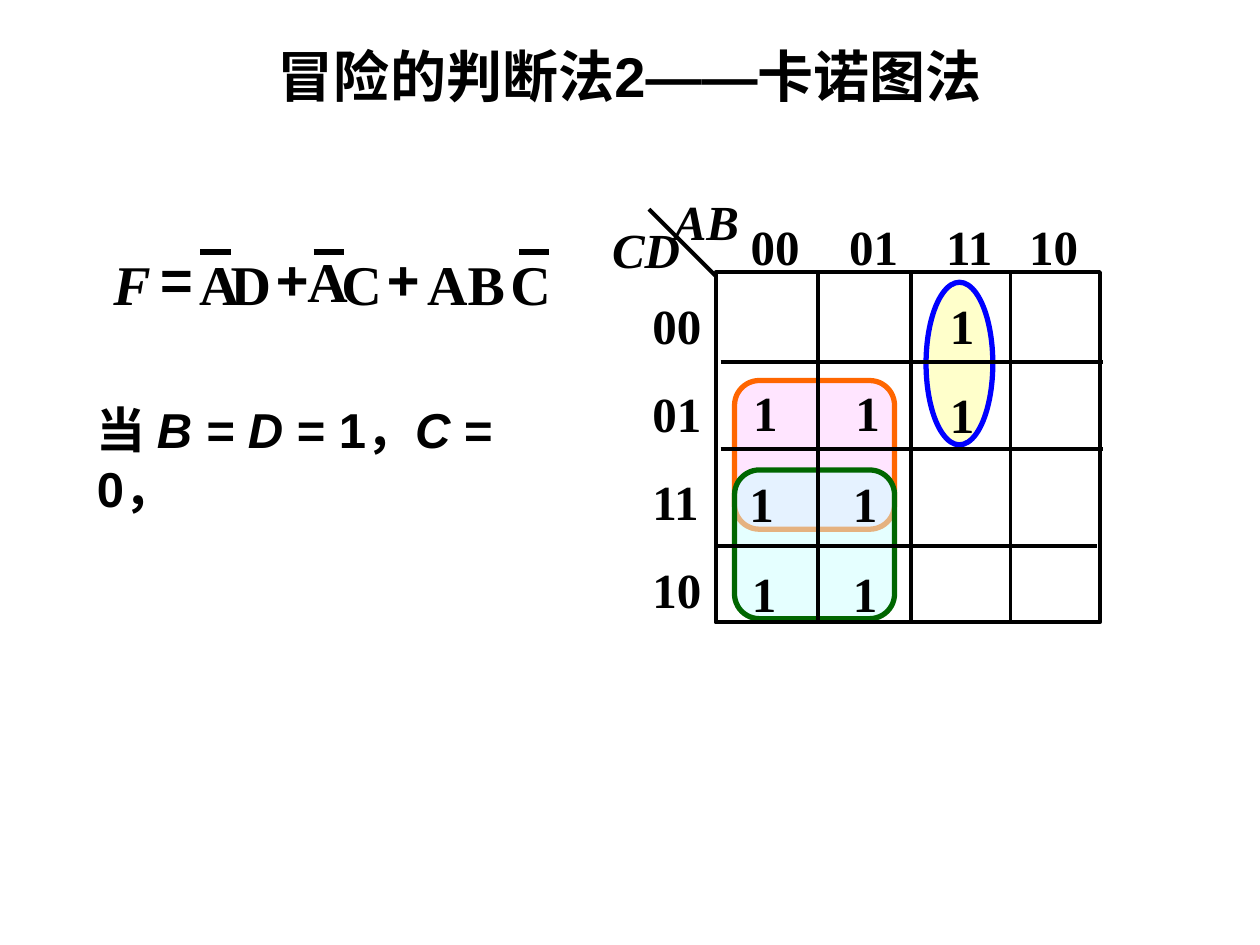
"""Build the slide on judging hazards with a Karnaugh map."""
from dataclasses import dataclass

from lxml import etree
from pptx import Presentation
from pptx import util as u
from pptx.dml.color import RGBColor
from pptx.enum import shapes, text
from pptx.oxml.ns import qn


@dataclass(frozen=True)
class Theme:
    """Colours, fonts and sizes of the slide."""
    ink: str = "000000"
    pink: str = "FFCCFF"
    orange: str = "FF6600"
    cyan: str = "CCFFFF"
    green: str = "006600"
    yellow: str = "FFFF99"
    blue: str = "0000FF"
    sans: str = "Arial"
    serif: str = "Times New Roman"
    chinese: str = "Noto Sans CJK SC"
    body: float = 28
    large: float = 32
    thin: float = 2.25
    thick: float = 3


THEME = Theme()


def add_span(para, words, *, size=THEME.body, font=THEME.serif, italic=False):
    """Append formatted bold text to a paragraph."""
    span = para.add_run()
    span.text = words
    span.font.size = u.Pt(size)
    span.font.name = font
    span.font.bold = True
    span.font.italic = italic
    span.font.color.rgb = RGBColor.from_string(THEME.ink)
    latin = span.font._element.find(qn("a:latin"))
    latin.addnext(latin.makeelement(qn("a:ea"), {"typeface": THEME.chinese}))


class Slide:
    """Hold the theme and the current slide."""

    def __init__(self, page, theme):
        self.page = page
        self.theme = theme

    def title(self, words, left, top, width, height):
        box = self.page.shapes.title
        box.left, box.top = u.Inches(left), u.Inches(top)
        box.width, box.height = u.Inches(width), u.Inches(height)
        frame = box.text_frame
        frame.word_wrap = True
        frame.auto_size = text.MSO_AUTO_SIZE.SHAPE_TO_FIT_TEXT
        frame.vertical_anchor = text.MSO_ANCHOR.TOP
        para = frame.paragraphs[0]
        para.alignment = text.PP_ALIGN.CENTER
        add_span(para, words, size=self.theme.large, font=self.theme.sans)

    def text_box(self, left, top, width, height, wrap=False, inset=True):
        box = self.page.shapes.add_textbox(
            u.Inches(left), u.Inches(top), u.Inches(width), u.Inches(height))
        frame = box.text_frame
        frame.word_wrap = wrap
        frame.auto_size = text.MSO_AUTO_SIZE.SHAPE_TO_FIT_TEXT
        if not inset:
            frame.margin_left = frame.margin_right = 0
            frame.margin_top = frame.margin_bottom = 0
        return frame

    def label(self, words, left, top, width=0.4, height=0.57, inset=True,
              spacing=None, **style):
        wrap = spacing is not None
        frame = self.text_box(left, top, width, height, wrap, inset)
        for index, line in enumerate(words.split("\n")):
            para = frame.add_paragraph() if index else frame.paragraphs[0]
            para.line_spacing = spacing
            add_span(para, line, **style)

    def statement(self, spans, left, top, width, height):
        para = self.text_box(left, top, width, height, wrap=True).paragraphs[0]
        for words, italic in spans:
            add_span(para, words, font=self.theme.sans, italic=italic)

    def outline(self, kind, left, top, width, height, line, weight, fill=None):
        shape = self.page.shapes.add_shape(
            kind, u.Inches(left), u.Inches(top), u.Inches(width), u.Inches(height))
        shape.shadow.inherit = False
        shape.line.color.rgb = RGBColor.from_string(line)
        shape.line.width = u.Pt(weight)
        if fill is None:
            shape.fill.background()
            return
        shape.fill.solid()
        shape.fill.fore_color.rgb = RGBColor.from_string(fill)
        colour = shape._element.spPr.find(qn("a:solidFill"))[0]
        etree.SubElement(colour, qn("a:alpha"), val="50000")

    def line(self, x1, y1, x2, y2, weight):
        line = self.page.shapes.add_connector(
            shapes.MSO_CONNECTOR.STRAIGHT,
            u.Inches(x1), u.Inches(y1), u.Inches(x2), u.Inches(y2))
        line.line.color.rgb = RGBColor.from_string(self.theme.ink)
        line.line.width = u.Pt(weight)
        etree.SubElement(line._element.spPr, qn("a:effectLst"))


def draw_map(slide):
    """Draw the Karnaugh map with its groups, headings and ones."""
    theme = slide.theme
    kinds = shapes.MSO_SHAPE
    for top, line, fill in ((3.02, theme.orange, theme.pink),
                            (3.73, theme.green, theme.cyan)):
        slide.outline(kinds.ROUNDED_RECTANGLE, 5.83, top, 1.27, 1.18,
                      line, theme.thick, fill)
    slide.outline(kinds.OVAL, 7.35, 2.24, 0.53, 1.29,
                  theme.blue, theme.thick, theme.yellow)

    slide.outline(kinds.RECTANGLE, 5.68, 2.16, 3.05, 2.78, theme.ink, theme.thin)
    for x in (6.49, 7.23, 8.02):
        slide.line(x, 2.16, x, 4.95, theme.thin)
    for y, left in ((2.87, 5.72), (3.56, 5.72), (4.33, 5.68)):
        slide.line(left, y, left + 3.03, y, theme.thin)
    slide.line(5.15, 1.66, 5.68, 2.19, theme.thin)

    slide.label("AB", 5.25, 1.47, 0.72, italic=True)
    slide.label("CD", 4.76, 1.69, 0.74, italic=True)
    codes = ("00", "01", "11", "10")
    for code, left in zip(codes, (5.86, 6.64, 7.41, 8.07)):
        slide.label(code, left, 1.67, 0.59)
    slide.label("\n".join(codes), 5.08, 2.06, 0.63, 2.91, spacing=1.5)

    for top, lefts in ((2.99, (5.88, 6.69)), (3.71, (5.85, 6.67)),
                       (4.42, (5.87, 6.67))):
        for left in lefts:
            slide.label("1", left, top)
    for top in (2.2, 2.91):
        slide.label("1", 7.44, top, 0.41, 0.66, spacing=1.2)


def draw_formula(slide):
    """Set the letters, operators and negation bars of the formula."""
    theme = slide.theme
    for left in (1.59, 2.49, 4.12):
        slide.line(left, 2, left + 0.24, 2, theme.thick)
    slide.label("F", 0.9, 1.98, 0.3, 0.54, inset=False,
                size=theme.large, italic=True)
    for letters, left, top, width in (
            ("A", 1.58, 1.98, 0.32), ("D", 1.83, 1.98, 0.32),
            ("A", 2.44, 1.96, 0.32), ("C", 2.71, 1.98, 0.32),
            ("AB", 3.39, 1.98, 0.62), ("C", 4.05, 1.98, 0.32)):
        slide.label(letters, left, top, width, 0.54, inset=False, size=theme.large)
    for sign, left in (("=", 1.27), ("+", 2.19), ("+", 3.07)):
        slide.label(sign, left, 1.94, 0.25, 0.54, inset=False,
                    size=theme.large, font=theme.sans)


def main():
    """Build and save the deck."""
    deck = Presentation()
    deck.slide_width, deck.slide_height = u.Inches(10), u.Inches(7.5)
    slide = Slide(deck.slides.add_slide(deck.slide_layouts[5]), THEME)
    slide.title("冒险的判断法2——卡诺图法", 0, 0.28, 10, 0.64)
    draw_map(slide)
    slide.statement((("当 ", False), ("B = D ", True), ("= 1，", False),
                     ("C ", True), ("= 0，", False)), 0.67, 3.12, 3.94, 0.57)
    draw_formula(slide)
    deck.save("out.pptx")


if __name__ == "__main__":
    main()
